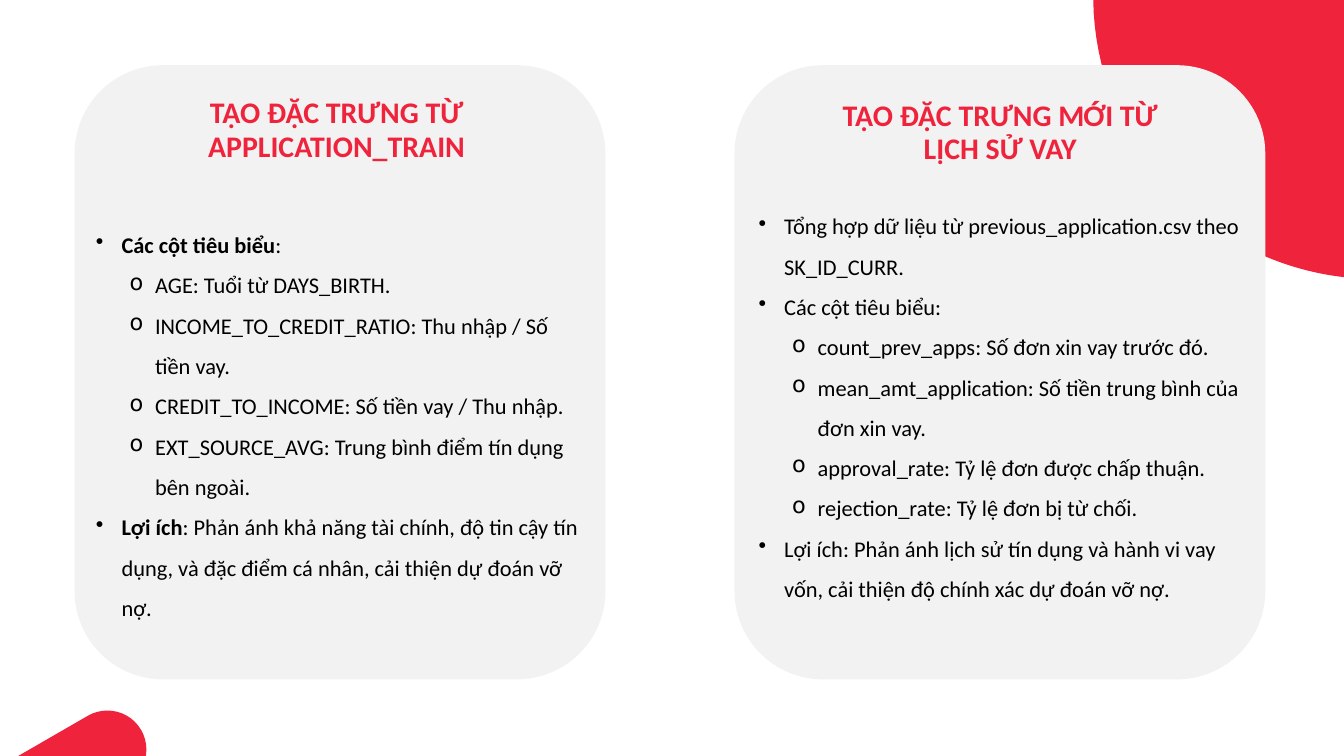
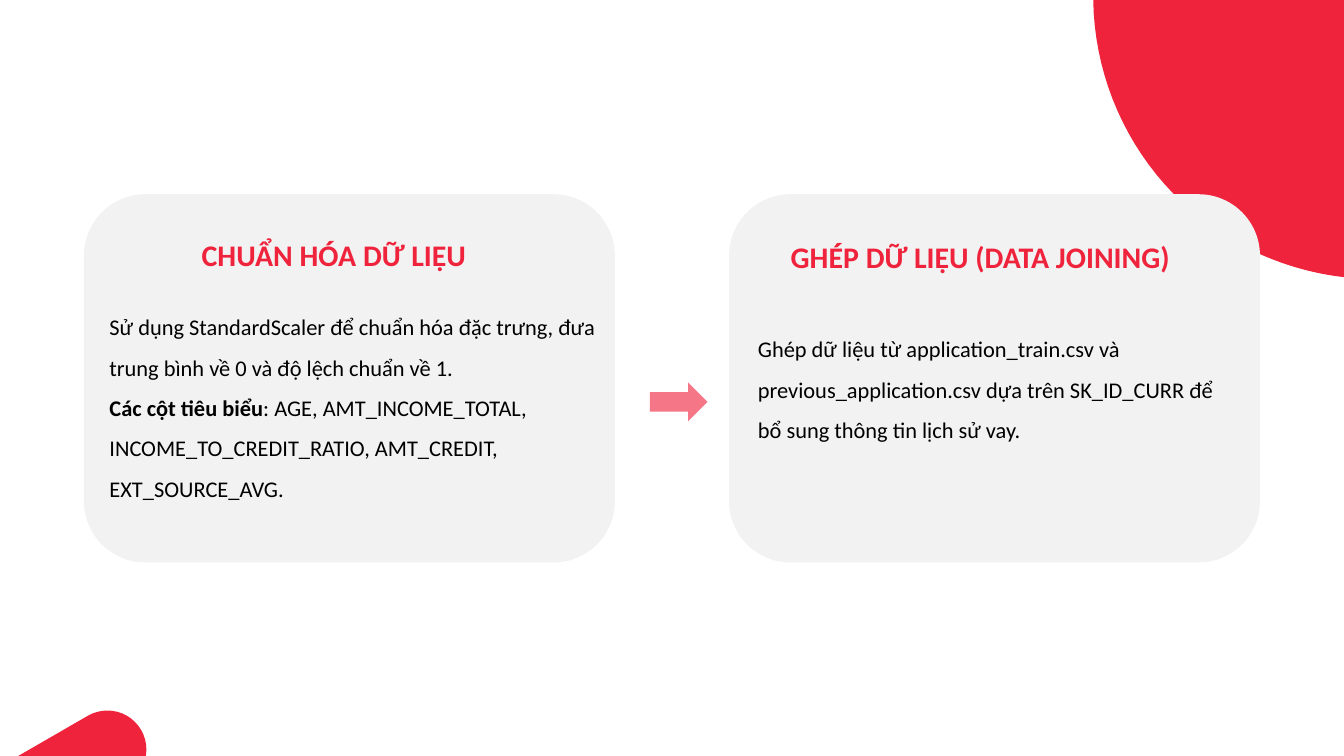
from dataclasses import dataclass

from lxml.etree import SubElement
from pptx import Presentation
from pptx.dml.color import RGBColor
from pptx.enum.shapes import MSO_SHAPE as Preset
from pptx.enum.text import MSO_ANCHOR as Anchor, PP_ALIGN as Align
from pptx.oxml.ns import qn
from pptx.util import Inches, Pt


@dataclass(frozen=True)
class Theme:
    font: str = "Calibri"
    red: RGBColor = RGBColor(0xEF, 0x23, 0x3C)
    card: RGBColor = RGBColor(0xF2, 0xF2, 0xF2)
    text: RGBColor = RGBColor(0, 0, 0)
    title_size: Pt = Pt(32)
    title_spacing: Pt = Pt(36)
    body_size: Pt = Pt(24)
    body_spacing: float = 1.5
    arrow_opacity: int = 62


BULLETS = ("•", "o")
HANGING = 0.38
LEVEL_STEP = 0.5
CARD_WIDTH = 7.9
CURVE_STEPS = 24
BLOB_START = (20.77, -0.5)
BLOB_CORNER = (20.77, 4.14)
BLOB_CURVES = (
    ((19.96, 4.2), (19.13, 4.02), (18.37, 3.59)),
    ((16.99, 2.79), (16.23, 1.32), (16.27, -0.17)),
)
BLOB_END = (16.3, -0.5)


def inches(*values):
    return [Inches(value) for value in values]


def curve_points(start, first, second, end):
    """Points along a cubic Bezier curve, without its start."""
    for step in range(1, CURVE_STEPS + 1):
        t = step / CURVE_STEPS
        weights = ((1 - t) ** 3, 3 * t * (1 - t) ** 2, 3 * t ** 2 * (1 - t), t ** 3)
        corners = (start, first, second, end)
        yield tuple(sum(w * corner[axis] for w, corner in zip(weights, corners))
                    for axis in (0, 1))


class Deck:
    """Holds the theme, the presentation and the slide being filled."""

    def __init__(self, theme):
        self.theme = theme
        self.presentation = Presentation()
        self.presentation.slide_width, self.presentation.slide_height = inches(20, 11.25)
        self.slide = None

    def new_slide(self):
        self.slide = self.presentation.slides.add_slide(self.presentation.slide_layouts[6])
        capsule = self.shape(Preset.ROUNDED_RECTANGLE, (-0.54, 10.99, 2.83, 1.16), self.theme.red)
        capsule.adjustments[0] = 0.5
        capsule.rotation = 150
        self.corner_blob()

    def paint(self, shape, color):
        shape.shadow.inherit = False
        shape.fill.solid()
        shape.fill.fore_color.rgb = color
        shape.line.fill.background()
        return shape

    def shape(self, preset, box, color):
        return self.paint(self.slide.shapes.add_shape(preset, *inches(*box)), color)

    def corner_blob(self):
        points = [BLOB_CORNER]
        for curve in BLOB_CURVES:
            points += curve_points(points[-1], *curve)
        points.append(BLOB_END)
        builder = self.slide.shapes.build_freeform(*inches(*BLOB_START), scale=1.0)
        builder.add_line_segments([inches(*point) for point in points], close=True)
        self.paint(builder.convert_to_shape(), self.theme.red)

    def card(self, left, top, height):
        self.shape(Preset.ROUNDED_RECTANGLE, (left, top, CARD_WIDTH, height), self.theme.card)

    def arrow(self, box):
        arrow = self.shape(Preset.RIGHT_ARROW, box, self.theme.red)
        color = arrow.fill._xPr.find(f"{qn('a:solidFill')}/{qn('a:srgbClr')}")
        SubElement(color, qn("a:alpha"), val=str(self.theme.arrow_opacity * 1000))

    def text_frame(self, box, anchor):
        frame = self.slide.shapes.add_textbox(*inches(*box)).text_frame
        frame.word_wrap = True
        frame.vertical_anchor = anchor
        return frame

    def paragraphs(self, frame, count):
        return [frame.paragraphs[0]] + [frame.add_paragraph() for _ in range(count - 1)]

    def set_font(self, paragraph, size, color):
        paragraph.font.name = self.theme.font
        paragraph.font.size = size
        paragraph.font.color.rgb = color

    def title(self, box, *lines):
        frame = self.text_frame(box, Anchor.TOP)
        for paragraph, line in zip(self.paragraphs(frame, len(lines)), lines):
            paragraph.text = line
            paragraph.alignment = Align.CENTER
            paragraph.line_spacing = self.theme.title_spacing
            self.set_font(paragraph, self.theme.title_size, self.theme.red)
            paragraph.font.bold = True

    def body(self, box, items):
        """Each item is (level, bold lead, rest); level None means no bullet."""
        frame = self.text_frame(box, Anchor.MIDDLE)
        for paragraph, (level, lead, rest) in zip(self.paragraphs(frame, len(items)), items):
            if level is not None:
                self.bullet(paragraph, level)
            if lead:
                run = paragraph.add_run()
                run.text = lead
                run.font.bold = True
            paragraph.add_run().text = rest
            paragraph.line_spacing = self.theme.body_spacing
            self.set_font(paragraph, self.theme.body_size, self.theme.text)

    def bullet(self, paragraph, level):
        paragraph.level = level
        properties = paragraph._p.get_or_add_pPr()
        properties.set("marL", str(Inches(HANGING + LEVEL_STEP * level)))
        properties.set("indent", str(-Inches(HANGING)))
        SubElement(properties, qn("a:buChar"), char=BULLETS[level])


def feature_slide(deck):
    deck.new_slide()
    for left in (1.11, 10.93):
        deck.card(left, 0.97, 9.14)
    deck.title((1.77, 1.38, 6.48, 1.11), "TẠO ĐẶC TRƯNG TỪ APPLICATION_TRAIN")
    deck.body((1.33, 2.9, 7.51, 6.68), [
        (0, "Các cột tiêu biểu", ":"),
        (1, "", "AGE: Tuổi từ DAYS_BIRTH."),
        (1, "", "INCOME_TO_CREDIT_RATIO: Thu nhập / Số tiền vay."),
        (1, "", "CREDIT_TO_INCOME: Số tiền vay / Thu nhập."),
        (1, "", "EXT_SOURCE_AVG: Trung bình điểm tín dụng bên ngoài."),
        (0, "Lợi ích", ": Phản ánh khả năng tài chính, độ tin cậy tín dụng, "
                       "và đặc điểm cá nhân, cải thiện dự đoán vỡ nợ."),
    ])
    deck.title((10.78, 1.42, 8.21, 1.11), "TẠO ĐẶC TRƯNG MỚI TỪ", "LỊCH SỬ VAY")
    deck.body((11.19, 2.98, 7.38, 5.96), [
        (0, "", "Tổng hợp dữ liệu từ previous_application.csv theo SK_ID_CURR."),
        (0, "", "Các cột tiêu biểu:"),
        (1, "", "count_prev_apps: Số đơn xin vay trước đó."),
        (1, "", "mean_amt_application: Số tiền trung bình của đơn xin vay."),
        (1, "", "approval_rate: Tỷ lệ đơn được chấp thuận."),
        (1, "", "rejection_rate: Tỷ lệ đơn bị từ chối."),
        (0, "", "Lợi ích: Phản ánh lịch sử tín dụng và hành vi vay vốn, "
                "cải thiện độ chính xác dự đoán vỡ nợ."),
    ])


def scaling_and_joining_slide(deck):
    deck.new_slide()
    for left in (1.25, 10.85):
        deck.card(left, 2.89, 5.48)
    deck.title((1.75, 3.5, 6.44, 0.61), "CHUẨN HÓA DỮ LIỆU")
    deck.body((1.53, 4.44, 7.72, 3.05), [
        (None, "", "Sử dụng StandardScaler để chuẩn hóa đặc trưng, "
                   "đưa trung bình về 0 và độ lệch chuẩn về 1."),
        (None, "Các cột tiêu biểu", ": AGE, AMT_INCOME_TOTAL, INCOME_TO_CREDIT_RATIO, "
                                    "AMT_CREDIT, EXT_SOURCE_AVG."),
    ])
    deck.title((11.37, 3.53, 6.44, 0.61), "GHÉP DỮ LIỆU (DATA JOINING)")
    deck.body((11.18, 4.77, 7.38, 1.84), [
        (None, "", "Ghép dữ liệu từ application_train.csv và previous_application.csv "
                   "dựa trên SK_ID_CURR để bổ sung thông tin lịch sử vay."),
    ])
    deck.arrow((9.67, 5.69, 0.86, 0.58))


def main():
    deck = Deck(Theme())
    feature_slide(deck)
    scaling_and_joining_slide(deck)
    deck.presentation.save("out.pptx")


if __name__ == "__main__":
    main()
